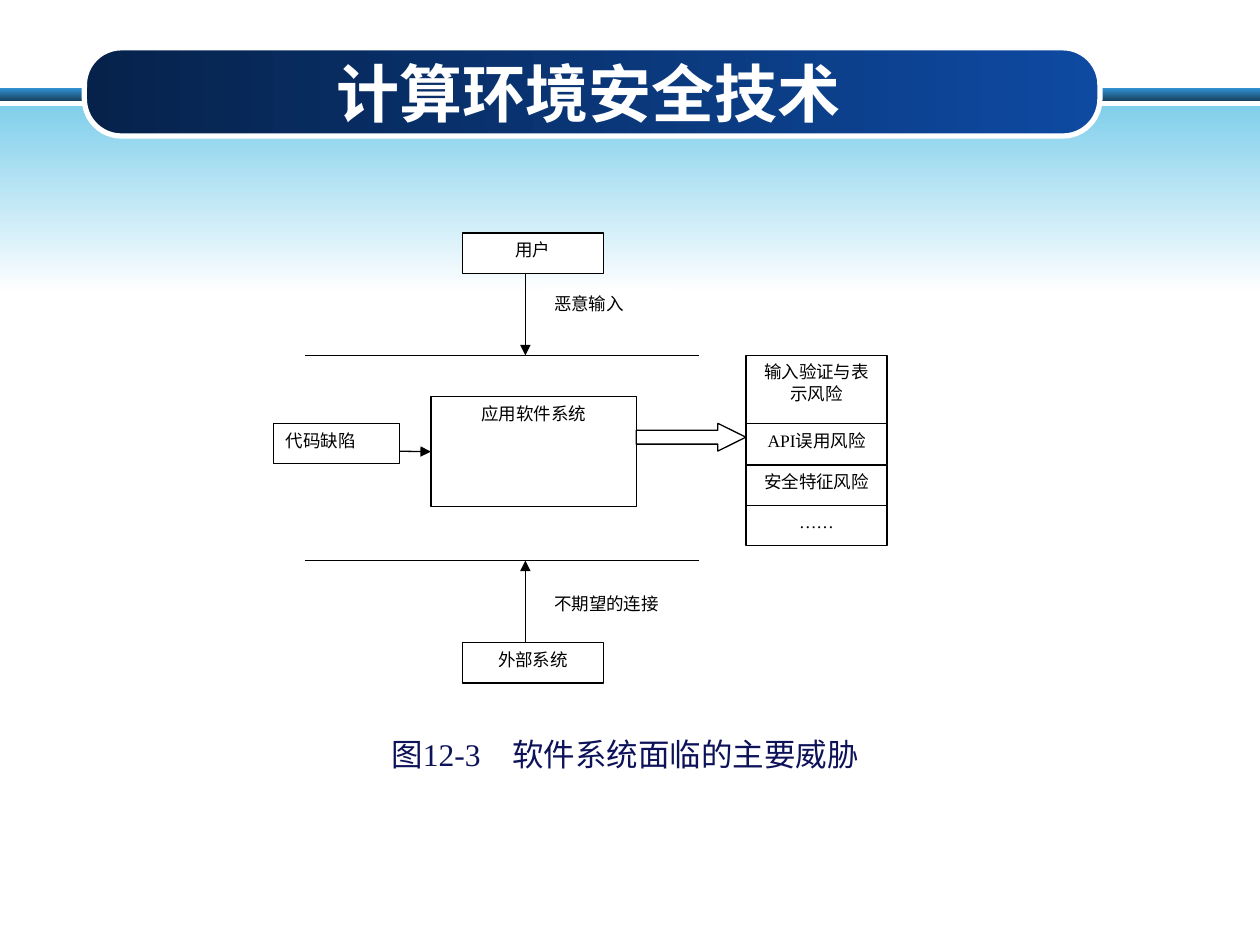
from lxml import etree
from pptx import Presentation
from pptx.dml.color import RGBColor
from pptx.enum import shapes, text
from pptx.oxml.ns import qn
from pptx.util import Inches, Pt

COLORS = {
    "white": "FFFFFF", "black": "000000", "caption": "0D1259",
    "stripe_top": "3191D3", "stripe_bottom": "174362", "sky": "81CFEB",
    "banner_left": "06224B", "banner_right": "0E4AA2",
}
SHAPE = shapes.MSO_SHAPE
CENTER, LEFT = text.PP_ALIGN.CENTER, text.PP_ALIGN.LEFT


def color(name):
    return RGBColor.from_string(COLORS[name])


class SlideBuilder:
    body_font = "Times New Roman"
    title_font = "Arial"
    label_size = 10
    line_width = 0.75

    def __init__(self, slide):
        self.slide = slide

    def shape(self, kind, left, top, width, height, fill="white", line=None, line_width=None):
        shape = self.slide.shapes.add_shape(
            kind, Inches(left), Inches(top), Inches(width), Inches(height))
        shape.shadow.inherit = False
        shape.fill.solid()
        shape.fill.fore_color.rgb = color(fill)
        if line:
            shape.line.color.rgb = color(line)
            shape.line.width = Pt(line_width or self.line_width)
        else:
            shape.line.fill.background()
        return shape

    def gradient(self, shape, start, end, angle):
        """Fill with two colours; the angle runs counter-clockwise."""
        shape.fill.gradient()
        shape.fill.gradient_angle = angle
        for stop, name in zip(shape.fill.gradient_stops, (start, end)):
            stop.color.rgb = color(name)

    def add_words(self, shape, words, size, font, ink, align, anchor, bold=False):
        frame = shape.text_frame
        frame.word_wrap = True
        frame.vertical_anchor = anchor
        paragraph = frame.paragraphs[0]
        paragraph.alignment = align
        run = paragraph.add_run()
        run.text = words
        run.font.name = font
        run.font.size = Pt(size)
        run.font.bold = bold
        run.font.color.rgb = color(ink)

    def title(self, words, left, top, width, height):
        title = self.slide.shapes.title
        title.left, title.top = Inches(left), Inches(top)
        title.width, title.height = Inches(width), Inches(height)
        self.add_words(title, words, 36, self.title_font, "white", CENTER,
                       text.MSO_ANCHOR.MIDDLE, bold=True)
        # Bring the title in front of the banner drawn before it.
        self.slide.shapes._spTree.append(title._element)

    def caption(self, words, left, top, width, height):
        box = self.slide.shapes.add_textbox(
            Inches(left), Inches(top), Inches(width), Inches(height))
        self.add_words(box, words, 18, self.body_font, "caption", CENTER,
                       text.MSO_ANCHOR.MIDDLE)

    def box(self, words, left, top, width, height=0.32, align=CENTER, line="black"):
        box = self.shape(SHAPE.RECTANGLE, left, top, width, height, line=line)
        self.add_words(box, words, self.label_size, self.body_font, "black", align,
                       text.MSO_ANCHOR.TOP)
        return box

    def line(self, x1, y1, x2, y2, arrow=False):
        connector = self.slide.shapes.add_connector(
            shapes.MSO_CONNECTOR.STRAIGHT, Inches(x1), Inches(y1), Inches(x2), Inches(y2))
        connector.line.color.rgb = color("black")
        connector.line.width = Pt(self.line_width)
        if arrow:
            etree.SubElement(connector.line._get_or_add_ln(), qn("a:tailEnd"), type="triangle")
        etree.SubElement(connector._element.spPr, qn("a:effectLst"))
        return connector


def draw_header(builder):
    stripe = builder.shape(SHAPE.RECTANGLE, 0, 0.7, 10, 0.1)
    builder.gradient(stripe, "stripe_top", "stripe_bottom", 270)
    sky = builder.shape(SHAPE.RECTANGLE, 0, 0.84, 10, 1.49)
    builder.gradient(sky, "sky", "white", 270)
    banner = builder.shape(SHAPE.ROUNDED_RECTANGLE, 0.67, 0.38, 8.06, 0.7,
                           line="white", line_width=3)
    banner.adjustments[0] = 0.42
    builder.gradient(banner, "banner_left", "banner_right", 0)
    builder.title("计算环境安全技术", 0.67, 0.42, 8, 0.62)


def draw_threats(builder):
    upper, lower, flow_x = 2.82, 4.45, 4.17
    system = builder.box("应用软件系统", 3.42, 3.15, 1.63, 0.87)
    for boundary in (upper, lower):
        builder.line(2.42, boundary, 5.55, boundary)
    builder.line(flow_x, 2.17, flow_x, upper, arrow=True)
    builder.line(flow_x, 5.1, flow_x, lower, arrow=True)

    builder.box("用户", 3.67, 1.85, 1.12)
    builder.box("外部系统", 3.67, 5.1, 1.12)
    builder.box("恶意输入", 4.3, 2.28, 1, align=LEFT, line=None)
    builder.box("不期望的连接", 4.3, 4.66, 1.25, align=LEFT, line=None)

    defect_arrow = builder.line(3.05, 3.58, 3.42, 3.58, arrow=True)
    defect_arrow.end_connect(system, 1)
    builder.box("代码缺陷", 2.17, 3.36, 1, align=LEFT)

    top = upper
    for risk, height in (("输入验证与表示风险", 0.54), ("API误用风险", 0.33),
                         ("安全特征风险", 0.32), ("……", 0.32)):
        builder.box(risk, 5.92, top, 1.12, height)
        top += height
    risk_arrow = builder.shape(SHAPE.RIGHT_ARROW, 5.05, 3.36, 0.87, 0.22, line="black")
    risk_arrow.adjustments[1] = 1.01


def main():
    presentation = Presentation()
    presentation.slide_width, presentation.slide_height = Inches(10), Inches(7.5)
    builder = SlideBuilder(presentation.slides.add_slide(presentation.slide_layouts[5]))
    draw_header(builder)
    builder.caption("图12-3　软件系统面临的主要威胁", 0.42, 5.77, 9.08, 0.42)
    draw_threats(builder)
    presentation.save("out.pptx")


if __name__ == "__main__":
    main()
